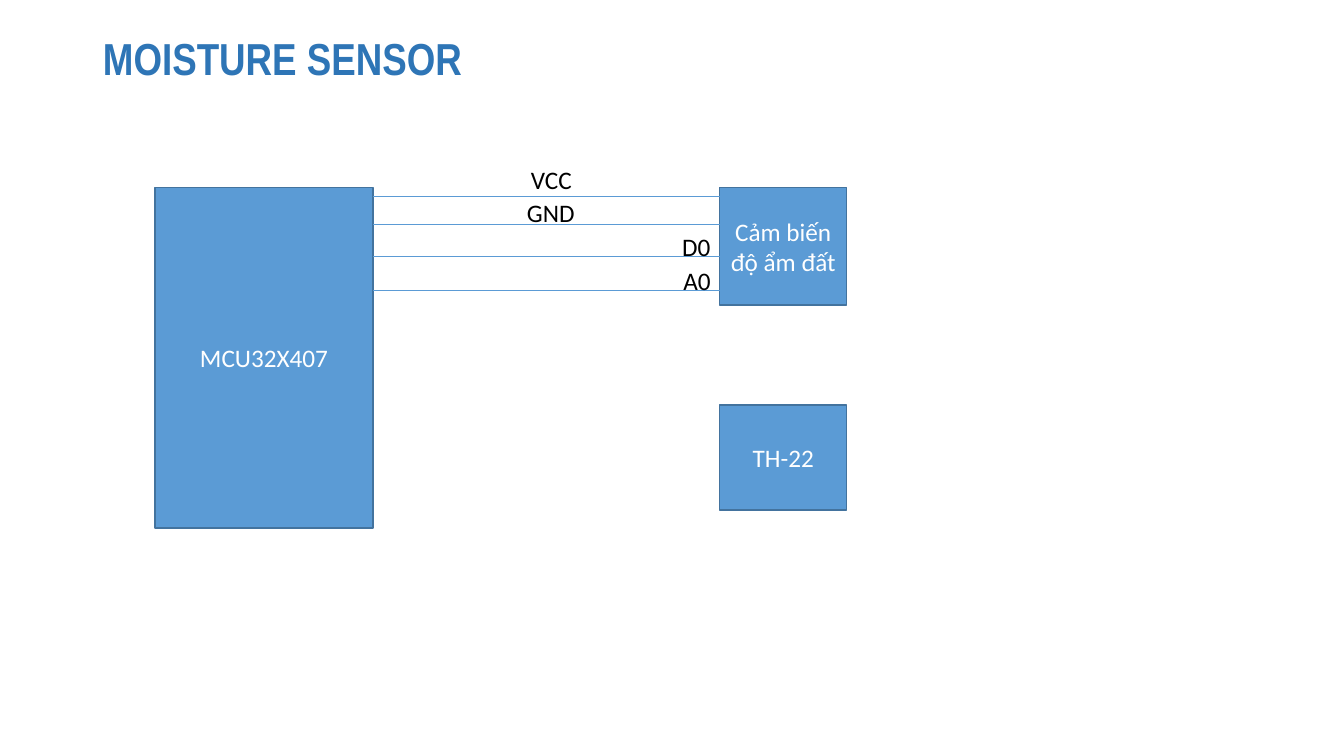
from lxml import etree
from pptx import Presentation
from pptx.dml.color import RGBColor
from pptx.enum.shapes import MSO_CONNECTOR, MSO_SHAPE
from pptx.enum.text import MSO_ANCHOR, MSO_AUTO_SIZE, PP_ALIGN
from pptx.oxml.ns import qn
from pptx.util import Cm, Pt

RECT = MSO_SHAPE.RECTANGLE
STRAIGHT = MSO_CONNECTOR.STRAIGHT
MIDDLE, TOP = MSO_ANCHOR.MIDDLE, MSO_ANCHOR.TOP
LEFT, CENTER = PP_ALIGN.LEFT, PP_ALIGN.CENTER
FIT_SHAPE, NO_FIT = MSO_AUTO_SIZE.SHAPE_TO_FIT_TEXT, MSO_AUTO_SIZE.NONE
TITLE_ONLY = 5

COLORS = {"title": "2E75B6", "block": "5B9BD5", "border": "43739E",
          "block_text": "FFFFFF", "label": "000000"}


def color(name):
    return RGBColor.from_string(COLORS[name])


def write(frame, text, *, ink, size=18, font="Calibri", bold=False,
          align=LEFT, anchor=TOP, wrap=True, fit=NO_FIT, spacing=None):
    frame.word_wrap = wrap
    frame.auto_size = fit
    frame.vertical_anchor = anchor
    paragraph = frame.paragraphs[0]
    paragraph.alignment = align
    paragraph.line_spacing = spacing
    run = paragraph.add_run()
    run.text = text
    run.font.name = font
    run.font.size = Pt(size)
    run.font.bold = bold
    run.font.color.rgb = color(ink)


class Diagram:
    """Holds the current slide and the style of its blocks and wires."""

    border_width = Pt(1)
    wire_width = Pt(0.5)

    def __init__(self, slide):
        self.slide = slide

    def title(self, text, x, y, w, h):
        heading = self.slide.shapes.title
        heading.left, heading.top = Cm(x), Cm(y)
        heading.width, heading.height = Cm(w), Cm(h)
        write(heading.text_frame, text, ink="title", size=32,
              font="Arial Narrow", bold=True, anchor=MIDDLE, spacing=0.9)

    def block(self, text, x, y, w, h):
        block = self.slide.shapes.add_shape(RECT, Cm(x), Cm(y), Cm(w), Cm(h))
        block.shadow.inherit = False
        block.fill.solid()
        block.fill.fore_color.rgb = color("block")
        block.line.color.rgb = color("border")
        block.line.width = self.border_width
        write(block.text_frame, text, ink="block_text",
              align=CENTER, anchor=MIDDLE)

    def wire(self, x1, x2, y):
        wire = self.slide.shapes.add_connector(
            STRAIGHT, Cm(x1), Cm(y), Cm(x2), Cm(y))
        wire.line.color.rgb = color("block")
        wire.line.width = self.wire_width
        etree.SubElement(wire._element.spPr, qn("a:effectLst"))

    def label(self, text, x, y, w, h):
        label = self.slide.shapes.add_textbox(Cm(x), Cm(y), Cm(w), Cm(h))
        write(label.text_frame, text, ink="label", wrap=False, fit=FIT_SHAPE)


def main():
    deck = Presentation()
    deck.slide_width, deck.slide_height = Cm(33.87), Cm(19.05)
    diagram = Diagram(deck.slides.add_slide(deck.slide_layouts[TITLE_ONLY]))
    diagram.title("MOISTURE SENSOR", 2.34, 0.79, 29.21, 1.5)

    # Controller on the left, sensors in one column on the right
    block_top, controller_left, controller_width = 4.72, 3.91, 5.49
    sensor_left, sensor_width = 18.14, 3.2
    diagram.block("Cảm biến độ ẩm đất", sensor_left, block_top,
                  sensor_width, 2.97)
    diagram.block("MCU32X407", controller_left, block_top,
                  controller_width, 8.59)
    diagram.block("TH-22", sensor_left, 10.21, sensor_width, 2.64)

    # Wires between controller and soil sensor
    for wire_y in (4.95, 5.66, 6.45, 7.32):
        diagram.wire(controller_left + controller_width, sensor_left, wire_y)

    # Pin labels, evenly stepped down the wires
    label_top, label_step = 4.01, 0.85
    pins = [("VCC", 13.13, 1.55), ("GND", 13.03, 1.73),
            ("D0", 16.94, 1.24), ("A0", 16.97, 1.22)]
    for row, (pin, x, width) in enumerate(pins):
        diagram.label(pin, x, label_top + row * label_step, width, 1.02)

    deck.save("out.pptx")


if __name__ == "__main__":
    main()
